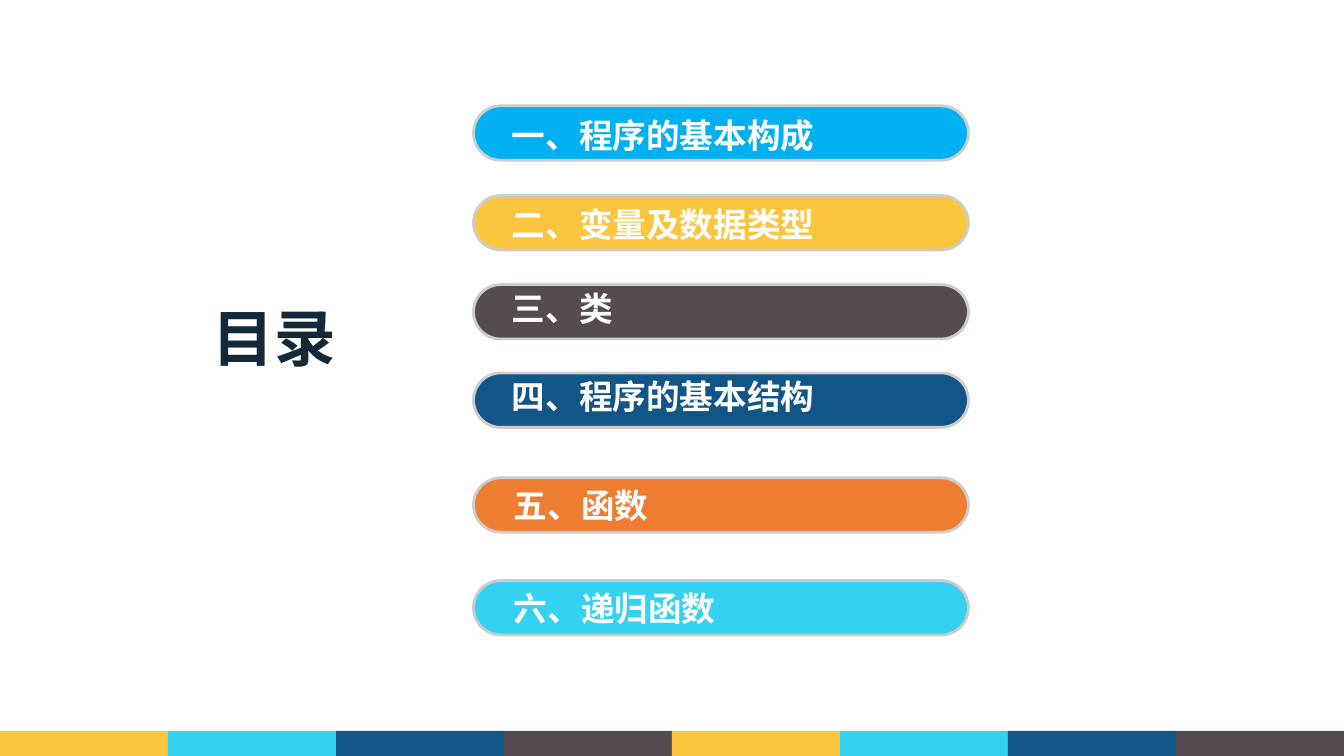
from dataclasses import dataclass

from lxml import etree
from pptx import Presentation
from pptx.dml.color import RGBColor
from pptx.enum.shapes import MSO_SHAPE
from pptx.enum.text import MSO_ANCHOR, MSO_AUTO_SIZE, PP_ALIGN
from pptx.oxml.ns import qn
from pptx.shapes.autoshape import Shape
from pptx.slide import Slide
from pptx.util import Pt

RECTANGLE = MSO_SHAPE.RECTANGLE
ROUNDED = MSO_SHAPE.ROUNDED_RECTANGLE
MIDDLE = MSO_ANCHOR.MIDDLE
NO_AUTOFIT = MSO_AUTO_SIZE.NONE
LEFT, CENTER = PP_ALIGN.LEFT, PP_ALIGN.CENTER

WHITE = RGBColor(0xFF, 0xFF, 0xFF)
SILVER = RGBColor(0xCC, 0xCC, 0xCC)
INK = RGBColor(0x14, 0x29, 0x38)
SKY = RGBColor(0x00, 0xB0, 0xF0)
YELLOW = RGBColor(0xFC, 0xC5, 0x40)
BROWN = RGBColor(0x55, 0x4C, 0x51)
NAVY = RGBColor(0x11, 0x56, 0x86)
ORANGE = RGBColor(0xED, 0x7D, 0x31)
CYAN = RGBColor(0x35, 0xD1, 0xF1)

FONT = "Noto Sans CJK SC"
SLIDE_WIDTH, SLIDE_HEIGHT = 960, 540
PILL_LEFT, PILL_WIDTH, PILL_HEIGHT = 338.2, 353.5, 38.9
LABEL_WIDTH, LABEL_HEIGHT = 312.5, 36
STRIP_HEIGHT = 18
STRIP_COLORS = (YELLOW, CYAN, NAVY, BROWN) * 2


@dataclass(frozen=True)
class Chapter:
    text: str
    color: RGBColor
    pill_top: float
    label_top: float
    label_left: float = 358.6


CHAPTERS = (
    Chapter("一、程序的基本构成", SKY, 75.6, 78.5),
    Chapter("二、变量及数据类型", YELLOW, 139.7, 141.8),
    Chapter("三、类", BROWN, 203.3, 202.3),
    Chapter("四、程序的基本结构", NAVY, 266.4, 265),
    Chapter("五、函数", ORANGE, 341.3, 342.7, 360),
    Chapter("六、递归函数", CYAN, 414.7, 416.2, 360),
)


def write_text(box: Shape, text: str, size: float, color: RGBColor, alignment: PP_ALIGN) -> None:
    frame = box.text_frame
    frame.text = text
    frame.word_wrap = True
    frame.auto_size = NO_AUTOFIT
    frame.vertical_anchor = MIDDLE
    paragraph = frame.paragraphs[0]
    paragraph.alignment = alignment
    font = paragraph.font
    font.size = Pt(size)
    font.bold = True
    font.color.rgb = color
    font.name = FONT
    defaults = paragraph._p.pPr.find(qn("a:defRPr"))
    etree.SubElement(defaults, qn("a:ea"), typeface=FONT)


def draw_title(page: Slide) -> None:
    title = page.shapes.title
    title.left, title.top = Pt(143.3), Pt(210.2)
    title.width, title.height = Pt(105.8), Pt(60.5)
    write_text(title, "目录", 44, INK, CENTER)


def draw_chapter(page: Slide, chapter: Chapter) -> None:
    pill = page.shapes.add_shape(
        ROUNDED, Pt(PILL_LEFT), Pt(chapter.pill_top), Pt(PILL_WIDTH), Pt(PILL_HEIGHT)
    )
    pill.adjustments[0] = 0.5
    pill.shadow.inherit = False
    pill.fill.solid()
    pill.fill.fore_color.rgb = chapter.color
    pill.line.color.rgb = SILVER
    pill.line.width = Pt(2)
    label = page.shapes.add_textbox(
        Pt(chapter.label_left), Pt(chapter.label_top), Pt(LABEL_WIDTH), Pt(LABEL_HEIGHT)
    )
    write_text(label, chapter.text, 24, WHITE, LEFT)


def draw_strip(page: Slide) -> None:
    strip = page.shapes.add_group_shape()
    width = SLIDE_WIDTH / len(STRIP_COLORS)
    for index, color in enumerate(STRIP_COLORS):
        band = strip.shapes.add_shape(
            RECTANGLE, Pt(index * width), Pt(SLIDE_HEIGHT - STRIP_HEIGHT), Pt(width), Pt(STRIP_HEIGHT)
        )
        band.shadow.inherit = False
        band.fill.solid()
        band.fill.fore_color.rgb = color
        band.line.fill.background()


def main() -> None:
    deck = Presentation()
    deck.slide_width, deck.slide_height = Pt(SLIDE_WIDTH), Pt(SLIDE_HEIGHT)
    page = deck.slides.add_slide(deck.slide_layouts.get_by_name("Title Only"))
    draw_title(page)
    for chapter in CHAPTERS:
        draw_chapter(page, chapter)
    draw_strip(page)
    deck.save("out.pptx")


if __name__ == "__main__":
    main()
